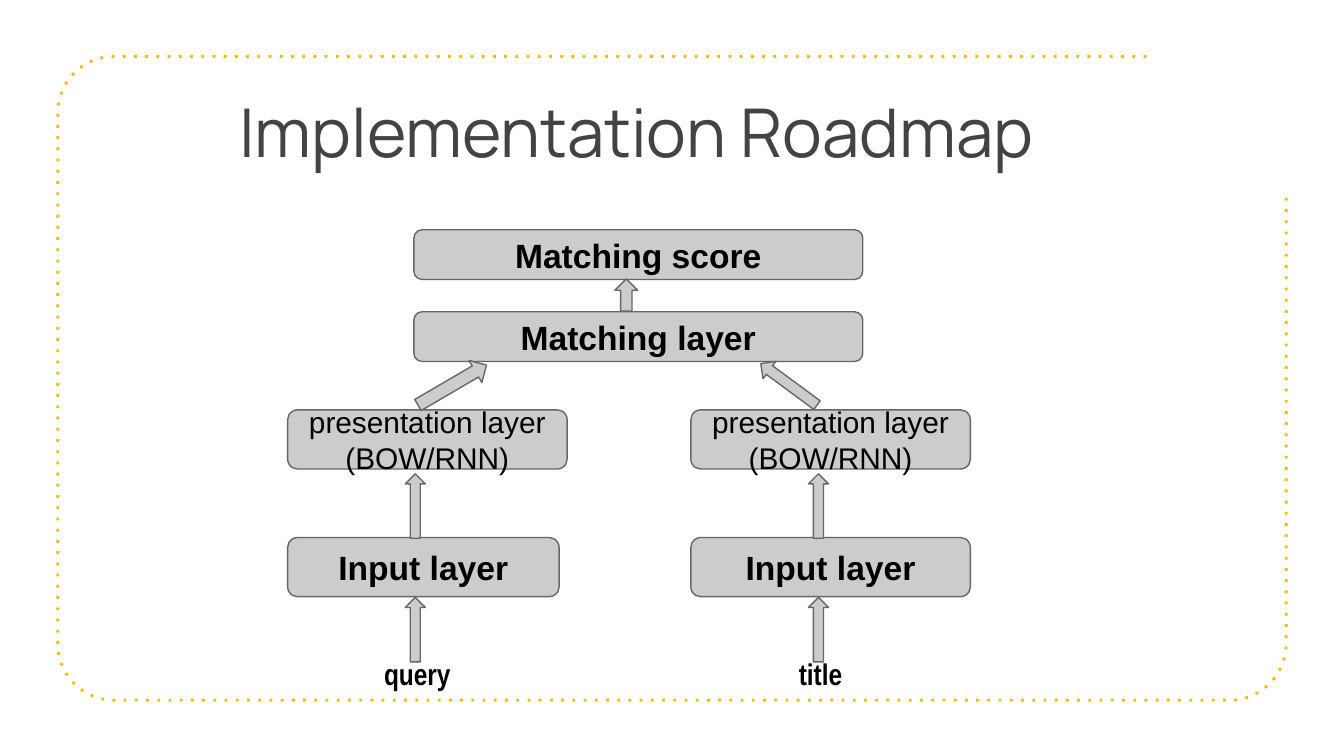
from math import cos, radians, sin

from pptx import Presentation
from pptx.dml.color import RGBColor
from pptx.enum.dml import MSO_LINE
from pptx.enum.shapes import MSO_SHAPE
from pptx.enum.text import MSO_ANCHOR, MSO_AUTO_SIZE, PP_ALIGN
from pptx.oxml.ns import qn
from pptx.util import Inches, Pt

ROUNDED, ARROW = MSO_SHAPE.ROUNDED_RECTANGLE, MSO_SHAPE.RIGHT_ARROW
MIDDLE, TOP = MSO_ANCHOR.MIDDLE, MSO_ANCHOR.TOP
CENTER, NO_FIT = PP_ALIGN.CENTER, MSO_AUTO_SIZE.NONE
DOTTED = MSO_LINE.ROUND_DOT

AMBER = RGBColor(0xFF, 0xB6, 0x00)
DARK = RGBColor(0x43, 0x43, 0x43)
BLACK = RGBColor(0x00, 0x00, 0x00)
LIGHT_GRAY = RGBColor(0xCC, 0xCC, 0xCC)
LINE_GRAY = RGBColor(0x66, 0x66, 0x66)

SLIDE_WIDTH = 10
SLIDE_HEIGHT = SLIDE_WIDTH * 9 / 16
TITLE_ONLY = 5
UP = 270
BRANCH_STEP = 3  # distance from the query branch to the title branch


def write(shape, text, size=18, font="Arial", color=BLACK, bold=False, anchor=MIDDLE):
    """Put centred text into a shape, one paragraph per line."""
    frame = shape.text_frame
    frame.text = text
    frame.word_wrap = True
    frame.auto_size = NO_FIT
    frame.vertical_anchor = anchor
    frame.margin_left = frame.margin_right = Inches(0.1)
    frame.margin_top = frame.margin_bottom = Inches(0.1)
    for para in frame.paragraphs:
        para.alignment = CENTER
        for span in para.runs:
            span.font.size = Pt(size)
            span.font.name = font
            span.font.bold = bold
            span.font.color.rgb = color


def add_gray_shape(page, kind, left, top, width, height):
    shape = page.shapes.add_shape(
        kind, Inches(left), Inches(top), Inches(width), Inches(height))
    shape.shadow.inherit = False
    shape.fill.solid()
    shape.fill.fore_color.rgb = LIGHT_GRAY
    shape.line.color.rgb = LINE_GRAY
    shape.line.width = Pt(0.75)
    return shape


def add_layer(page, text, left, top, width, height, **text_format):
    box = add_gray_shape(page, ROUNDED, left, top, width, height)
    write(box, text, **text_format)


def add_arrow(page, left, top, width, height, rotation=UP):
    arrow = add_gray_shape(page, ARROW, left, top, width, height)
    arrow.rotation = rotation


def add_label(page, text, left, top, width, height, **text_format):
    box = page.shapes.add_textbox(
        Inches(left), Inches(top), Inches(width), Inches(height))
    write(box, text, **text_format)


def add_frame(page):
    """Dotted frame with round corners, open at the top right."""
    left, top, right, bottom, radius = 0.43, 0.42, 9.57, 5.21, 0.42
    corners = [
        (left + radius, top + radius, 270),
        (left + radius, bottom - radius, 180),
        (right - radius, bottom - radius, 90),
    ]
    points = []
    for x, y, start in corners:
        for step in range(16):
            angle = radians(start - 6 * step)
            points.append((Inches(x + radius * cos(angle)),
                           Inches(y + radius * sin(angle))))
    points.append((Inches(right), Inches(1.46)))

    builder = page.shapes.build_freeform(Inches(8.53), Inches(top))
    builder.add_line_segments(points, close=False)
    frame = builder.convert_to_shape()
    frame.shadow.inherit = False
    frame.fill.background()
    frame.line.color.rgb = AMBER
    frame.line.width = Pt(1.5)
    frame.line.dash_style = DOTTED
    # The plain "dot" dash is wider spaced than the system dot
    frame.element.spPr.find(qn("a:ln")).find(qn("a:prstDash")).set("val", "dot")


def add_title(page, text):
    title = page.shapes.title
    title.left, title.top = Inches(0.98), Inches(0.67)
    title.width, title.height = Inches(7.51), Inches(0.6)
    write(title, text, size=36, font="Manrope", color=DARK)


def add_branch(page, label, offset, input_width):
    """Input, its layers and the arrows between them, from top to bottom."""
    left, arrow_left = 2.14 + offset, 2.85 + offset
    add_layer(page, "presentation layer\n(BOW/RNN)", left, 3.05, 2.08, 0.44, size=16)
    add_layer(page, "Input layer", left, 4, input_width, 0.44, bold=True)
    for top in (3.69, 4.61):
        add_arrow(page, arrow_left, top, 0.48, 0.15)
    add_label(page, label, 2.6 + offset, 4.78, 1.01, 0.44,
              size=16, font="Arial Narrow", bold=True, anchor=TOP)


def main():
    deck = Presentation()
    deck.slide_width, deck.slide_height = Inches(SLIDE_WIDTH), Inches(SLIDE_HEIGHT)
    page = deck.slides.add_slide(deck.slide_layouts[TITLE_ONLY])

    add_frame(page)
    add_title(page, "Implementation Roadmap")

    # Shared matching stages
    for text, top in (("Matching score", 1.71), ("Matching layer", 2.32)):
        add_layer(page, text, 3.08, top, 3.34, 0.37, bold=True)
    add_arrow(page, 4.54, 2.11, 0.24, 0.17)

    # Two branches and the slanted arrows that join them
    add_branch(page, "query", 0, input_width=2.02)
    add_branch(page, "title", BRANCH_STEP, input_width=2.08)
    add_arrow(page, 3.07, 2.77, 0.59, 0.19, rotation=329.7)
    add_arrow(page, 5.61, 2.78, 0.52, 0.16, rotation=216.4)

    deck.save("out.pptx")


if __name__ == "__main__":
    main()
